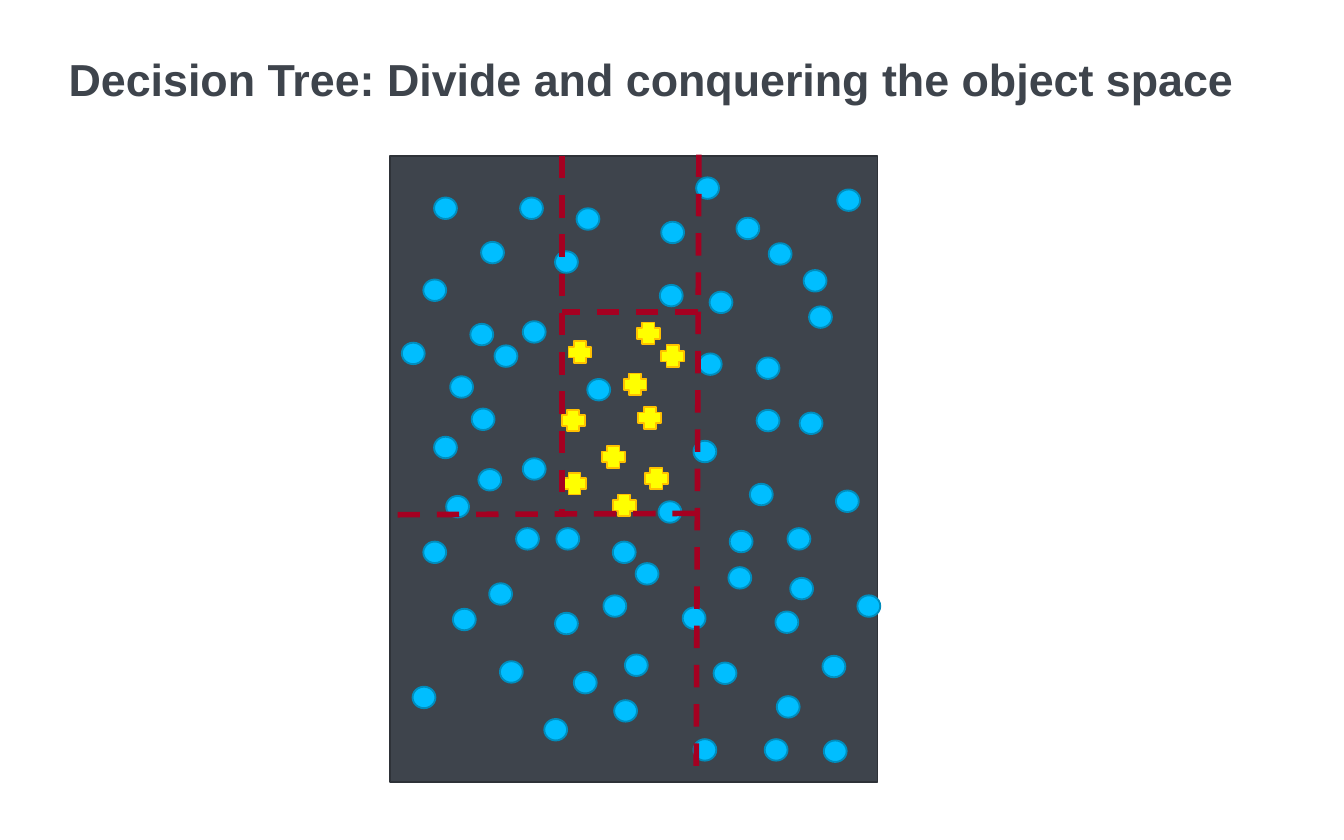
from lxml.etree import SubElement
from pptx import Presentation
from pptx.dml.color import RGBColor
from pptx.enum.dml import MSO_LINE
from pptx.enum.shapes import MSO_CONNECTOR, MSO_SHAPE
from pptx.enum.text import MSO_ANCHOR, PP_ALIGN
from pptx.oxml.ns import qn
from pptx.util import Inches, Pt

TITLE = "Decision Tree: Divide and conquering the object space"
COLORS = {
    "slate": "3E444C", "slate_edge": "2E3238",
    "blue": "00BEFF", "blue_edge": "008DBD",
    "yellow": "FFFF00", "yellow_edge": "FFC000",
    "split": "A50021",
}
OBJECT_SPACE = (2.9, 1.16, 3.63, 4.66)
MARKER_SIZE = (0.17, 0.16)
CIRCLES = [
    (3.23, 1.47), (3.87, 1.47), (3.58, 1.8), (4.91, 2.12), (4.29, 1.55), (4.92, 1.65),
    (4.13, 1.87), (5.63, 2.66), (5.72, 1.81), (4.37, 2.82), (5.2, 2.63), (5.16, 3.28),
    (5.95, 3.07), (5.63, 3.05), (3.89, 2.39), (5.86, 3.93), (6.22, 3.65), (5.88, 4.3),
    (6.38, 4.43), (3.15, 2.08), (3.32, 3.69), (3.5, 2.41), (3.68, 2.57), (3.07, 5.11),
    (3.35, 2.8), (3.56, 3.49), (3.72, 4.92), (5.43, 3.95), (4.14, 3.93), (4.9, 3.73),
    (6.02, 2.28), (4.05, 5.35), (5.42, 4.22), (5.31, 4.93), (5.77, 4.55), (5.58, 3.6),
    (6.12, 4.88), (5.69, 5.5), (2.99, 2.55), (3.15, 4.03), (3.37, 4.53), (3.51, 3.04),
    (3.84, 3.93), (4.13, 4.56), (3.23, 3.25), (3.64, 4.34), (3.89, 3.41), (4.56, 4.03),
    (4.73, 4.19), (4.27, 5), (5.08, 4.52), (4.57, 5.21), (4.65, 4.87), (4.49, 4.43),
    (5.78, 5.18), (5.16, 5.5), (6.13, 5.51), (5.18, 1.32), (5.48, 1.62), (5.28, 2.17),
    (6.23, 1.41), (5.98, 2.01),
]
CROSSES = [
    (4.64, 2.78), (4.56, 3.68), (4.74, 2.4), (4.92, 2.57), (4.48, 3.32),
    (4.8, 3.48), (4.23, 2.54), (4.75, 3.03), (4.18, 3.05), (4.19, 3.52),
]
SPLITS = [
    (5.2, 1.15, 5.18, 5.82),
    (5.17, 3.82, 2.9, 3.83),
    (5.19, 2.32, 4.18, 2.32),
    (4.18, 1.16, 4.18, 3.82),
]


def color(name):
    """Return the named colour."""
    return RGBColor.from_string(COLORS[name])


def add_title(page):
    """Place and format the title placeholder."""
    title = page.shapes.title
    title.left, title.top, title.width, title.height = map(Inches, (0.51, 0.43, 9.02, 0.63))
    frame = title.text_frame
    frame.margin_left = frame.margin_top = frame.margin_right = frame.margin_bottom = 0
    frame.vertical_anchor = MSO_ANCHOR.TOP
    frame.word_wrap = True
    frame.text = TITLE
    paragraph = frame.paragraphs[0]
    paragraph.alignment = PP_ALIGN.LEFT
    paragraph.line_spacing = 0.9
    font = paragraph.font
    font.name, font.size, font.bold = "Arial", Pt(24), True
    font.color.rgb = color("slate")


def add_figure(page, kind, bounds, fill):
    """Add a filled shape with its darker edge."""
    shape = page.shapes.add_shape(kind, *map(Inches, bounds))
    shape.shadow.inherit = False
    shape.fill.solid()
    shape.fill.fore_color.rgb = color(fill)
    shape.line.color.rgb = color(f"{fill}_edge")
    shape.line.width = Pt(1)


def add_split(page, ends):
    """Add a dashed line that divides the object space."""
    line = page.shapes.add_connector(MSO_CONNECTOR.STRAIGHT, *map(Inches, ends))
    line.line.color.rgb = color("split")
    line.line.width = Pt(3)
    line.line.dash_style = MSO_LINE.DASH
    SubElement(line._element.spPr, qn("a:effectLst"))


def main():
    """Build the slide and save it."""
    deck = Presentation()
    deck.slide_width, deck.slide_height = Inches(10), Inches(6.25)
    page = deck.slides.add_slide(deck.slide_layouts[5])
    add_title(page)
    add_figure(page, MSO_SHAPE.RECTANGLE, OBJECT_SPACE, "slate")
    for kind, fill, positions in (
        (MSO_SHAPE.OVAL, "blue", CIRCLES),
        (MSO_SHAPE.CROSS, "yellow", CROSSES),
    ):
        for position in positions:
            add_figure(page, kind, position + MARKER_SIZE, fill)
    for ends in SPLITS:
        add_split(page, ends)
    deck.save("out.pptx")


if __name__ == "__main__":
    main()
